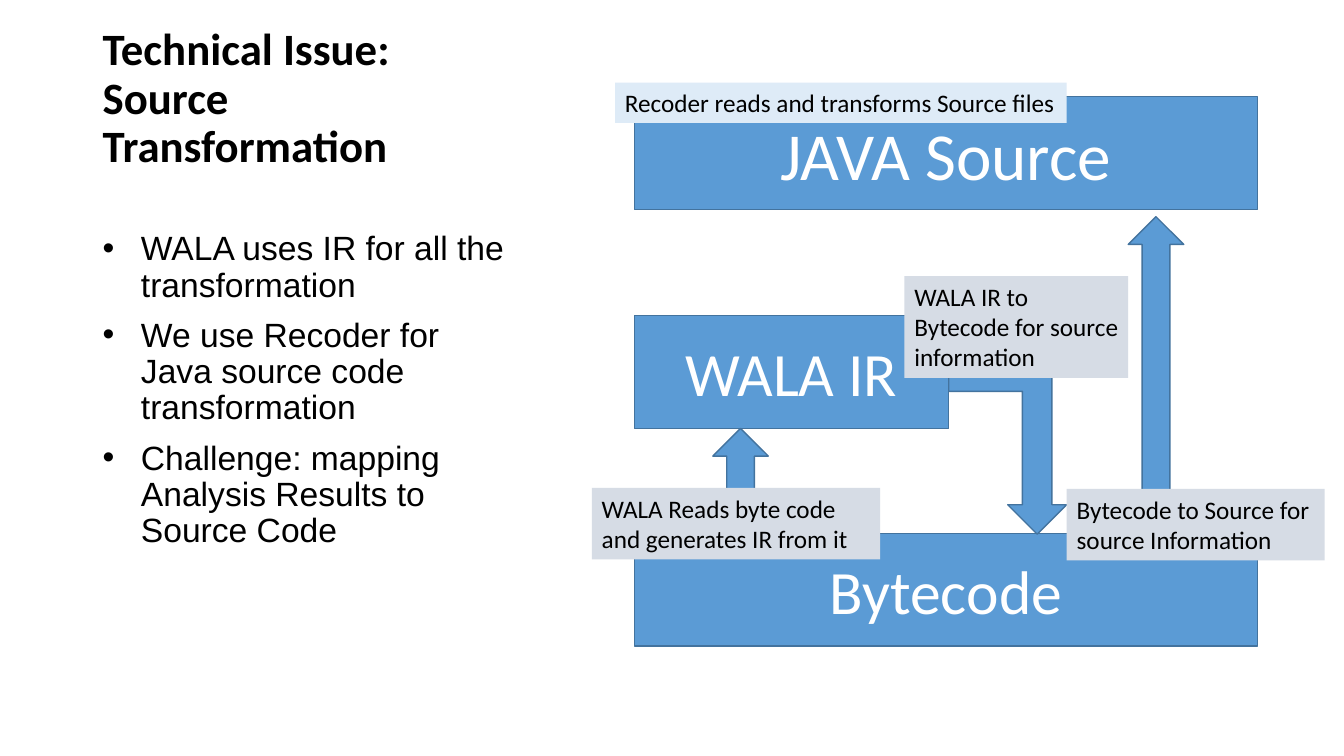
from pptx import Presentation
from pptx.dml.color import RGBColor
from pptx.enum.shapes import MSO_SHAPE
from pptx.enum.text import MSO_ANCHOR, PP_ALIGN
from pptx.oxml.ns import qn
from pptx.util import Inches, Pt
from lxml.etree import SubElement

COLORS = {
    "black": "000000",
    "white": "FFFFFF",
    "blue": "5B9BD5",
    "outline": "43739E",
    "gray": "D6DCE5",
    "pale": "DEEBF7",
}


class SlideBuilder:
    """Holds the shared style and the slide being drawn."""

    def __init__(self, slide):
        self.slide = slide
        self.heading_font = "Calibri"
        self.body_font = "Arial"

    def color(self, name):
        return RGBColor.from_string(COLORS[name])

    def run(self, para, text, size, color="black", font=None, bold=False):
        span = para.add_run()
        span.text = text
        span.font.size = Pt(size)
        span.font.name = font or self.heading_font
        span.font.bold = bold
        span.font.color.rgb = self.color(color)

    def text_frame(self, left, top, width, height, anchor):
        box = self.slide.shapes.add_textbox(
            Inches(left), Inches(top), Inches(width), Inches(height))
        frame = box.text_frame
        frame.word_wrap = True
        frame.vertical_anchor = anchor
        return frame

    def title(self, lines, *place):
        frame = self.text_frame(*place, MSO_ANCHOR.BOTTOM)
        frame.margin_bottom = Inches(0.54)
        para = frame.paragraphs[0]
        para.line_spacing = 0.9
        for index, line in enumerate(lines):
            if index:
                para.add_line_break()
            self.run(para, line, 32, bold=True)

    def bullets(self, items, *place):
        frame = self.text_frame(*place, MSO_ANCHOR.TOP)
        for index, item in enumerate(items):
            para = frame.add_paragraph() if index else frame.paragraphs[0]
            para.line_spacing = 0.9
            para.space_before = Pt(10)
            self.run(para, item, 24, font=self.body_font)
            props = para._p.get_or_add_pPr()
            props.set("marL", str(Inches(0.38)))
            props.set("indent", str(-Inches(0.38)))
            SubElement(props, qn("a:buFont")).set("typeface", self.body_font)
            SubElement(props, qn("a:buChar")).set("char", "•")

    def shape(self, kind, left, top, width, height, fill="blue", outlined=True):
        shape = self.slide.shapes.add_shape(
            kind, Inches(left), Inches(top), Inches(width), Inches(height))
        shape.shadow.inherit = False
        shape.fill.solid()
        shape.fill.fore_color.rgb = self.color(fill)
        if outlined:
            shape.line.color.rgb = self.color("outline")
            shape.line.width = Pt(1)
        else:
            shape.line.fill.background()
        return shape

    def layer(self, text, top, width, size=44):
        """Draws one representation of the program as a large blue block."""
        block = self.shape(MSO_SHAPE.RECTANGLE, 6.29, top, width, 1.12)
        frame = block.text_frame
        frame.word_wrap = True
        frame.vertical_anchor = MSO_ANCHOR.MIDDLE
        para = frame.paragraphs[0]
        para.alignment = PP_ALIGN.CENTER
        self.run(para, text, size, "white")

    def note(self, text, left, top, width, height, fill="gray"):
        box = self.shape(MSO_SHAPE.RECTANGLE, left, top, width, height, fill, False)
        frame = box.text_frame
        frame.word_wrap = True
        frame.vertical_anchor = MSO_ANCHOR.TOP
        para = frame.paragraphs[0]
        para.alignment = PP_ALIGN.LEFT
        self.run(para, text, 18)

    def up_arrow(self, left, top, height):
        self.shape(MSO_SHAPE.UP_ARROW, left, top, 0.55, height)

    def bent_down_arrow(self, *place):
        arrow = self.shape(MSO_SHAPE.BENT_UP_ARROW, *place)
        arrow._element.spPr.find(qn("a:xfrm")).set("flipV", "1")


def main():
    deck = Presentation()
    deck.slide_width = Inches(13.33)
    deck.slide_height = Inches(7.5)
    page = SlideBuilder(deck.slides.add_slide(deck.slide_layouts[6]))

    page.title(["Technical Issue: ", "Source Transformation"], 0.92, 0.5, 4.3, 1.75)
    page.bullets([
        "WALA uses IR for all the transformation",
        "We use Recoder for Java source code transformation",
        "Challenge: mapping Analysis Results to Source Code",
    ], 0.92, 2.25, 4.3, 4.17)

    page.layer("JAVA Source", 0.96, 6.18, size=48)
    page.layer("WALA IR", 3.13, 3.12)
    page.layer("Bytecode", 5.29, 6.18)

    page.up_arrow(7.07, 4.25, 1.04)
    page.note("WALA Reads byte code and generates IR from it", 5.87, 4.84, 2.86, 0.71)
    page.note("Recoder reads and transforms Source files", 6.1, 0.82, 4.48, 0.4, "pale")
    page.bent_down_arrow(9.41, 3.59, 1.17, 1.71)
    page.note("WALA IR to Bytecode for source information", 8.97, 2.74, 2.22, 1.01)
    page.up_arrow(11.19, 2.15, 3.11)
    page.note("Bytecode to Source for source Information", 10.58, 4.85, 2.56, 0.71)

    deck.save("out.pptx")


if __name__ == "__main__":
    main()
